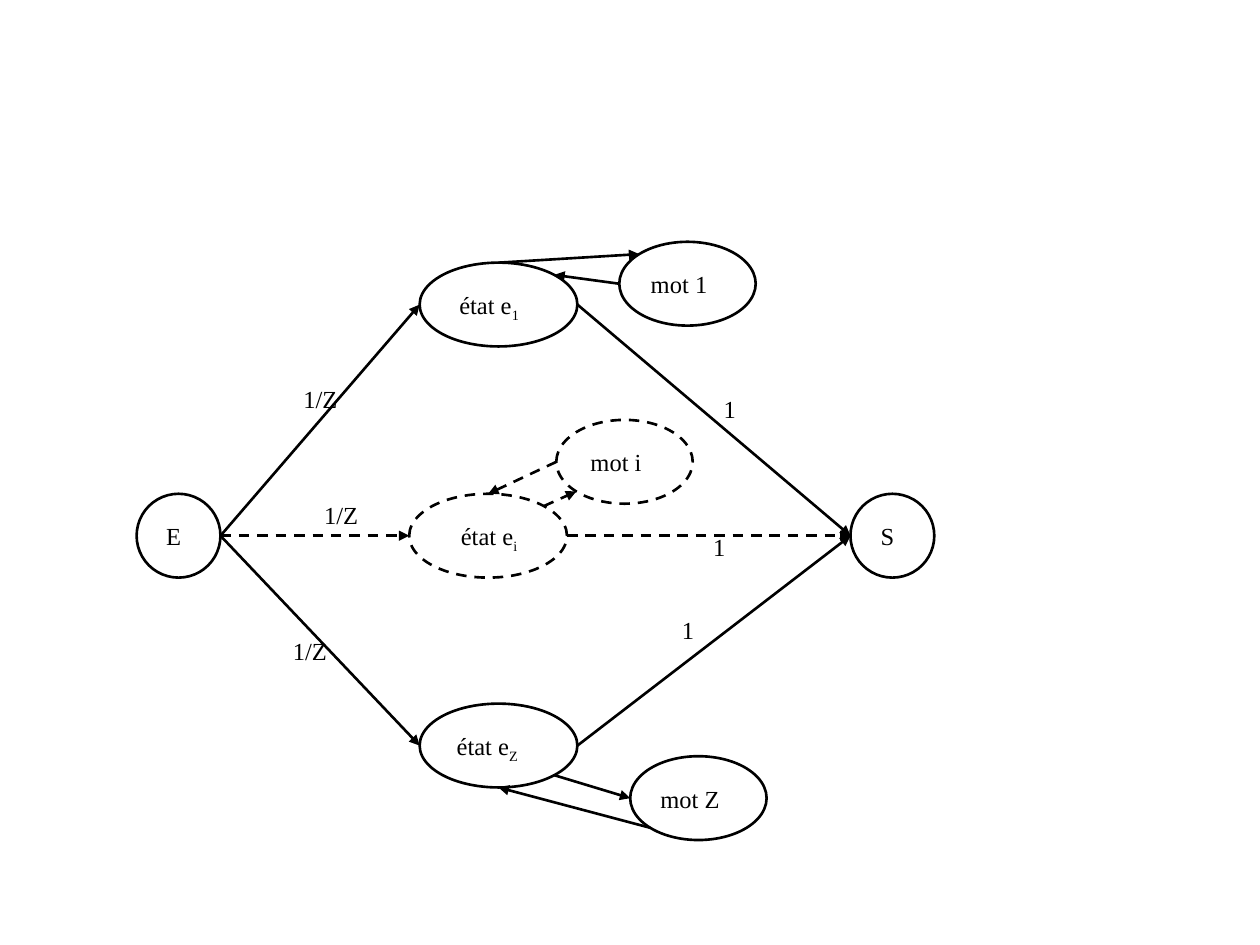
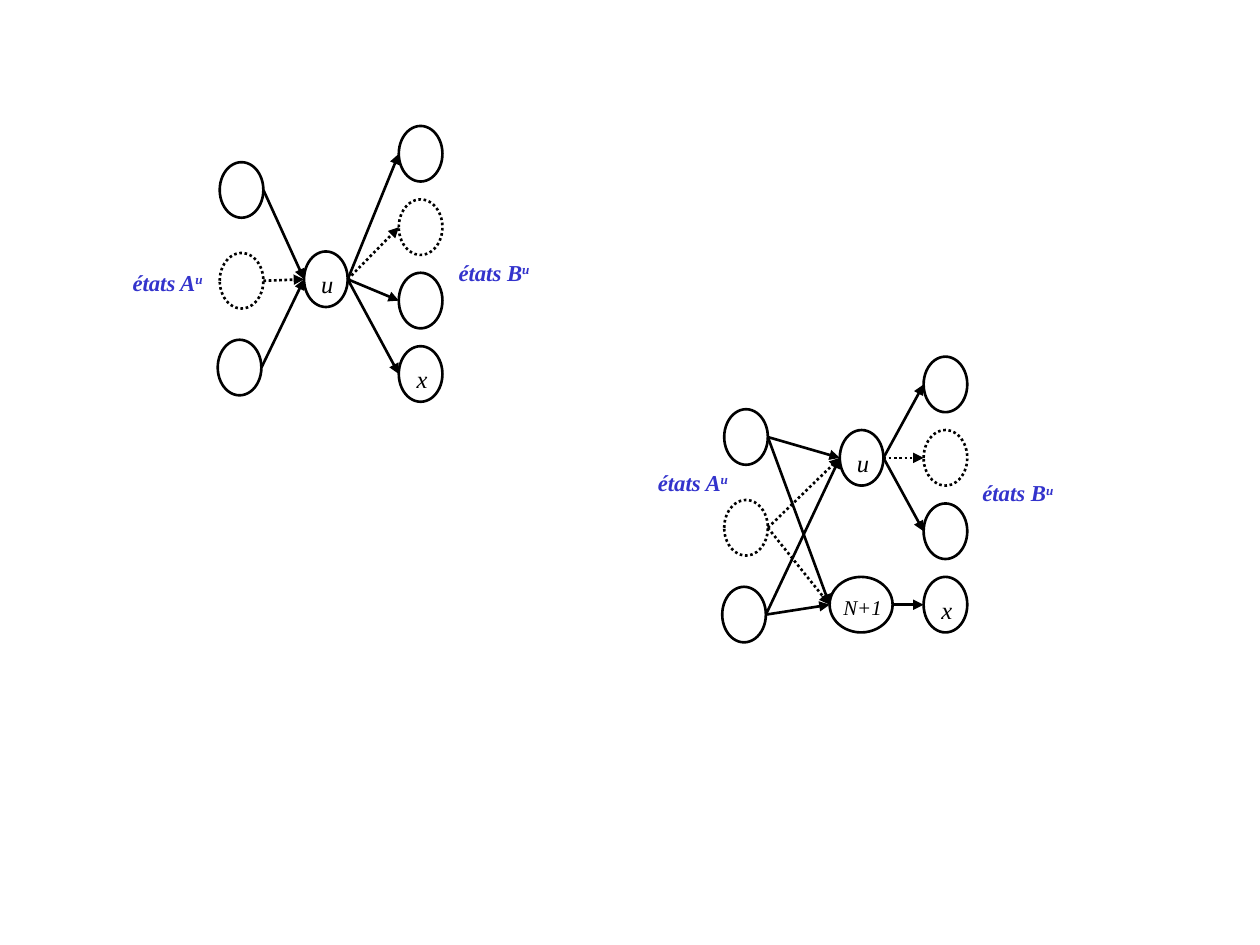
from dataclasses import dataclass, replace
from math import sqrt

from lxml.etree import SubElement
from pptx import Presentation
from pptx.dml.color import RGBColor
from pptx.enum.dml import MSO_LINE as Dash
from pptx.enum.shapes import MSO_CONNECTOR as Connector, MSO_SHAPE as Preset
from pptx.enum.text import MSO_ANCHOR as Anchor, PP_ALIGN as Align
from pptx.oxml.ns import qn
from pptx.slide import Slide
from pptx.util import Cm, Pt

# Shared style
BLACK, BLUE = "000000", "3333CC"
FONT = "Times New Roman"
LINE_WIDTH = Pt(1.5)
BLANK_LAYOUT = 6
SUBSCRIPT, SUPERSCRIPT = -25, 30
LABEL_FORMAT = {"name": FONT, "size": Pt(14)}
NAME_FORMAT = LABEL_FORMAT | {"italic": True}
SMALL_NAME_FORMAT = NAME_FORMAT | {"size": Pt(12)}
GROUP_FORMAT = {"name": FONT, "size": Pt(13), "bold": True, "italic": True}

# Unit offsets from an ellipse's centre to the places where arrows join it
DIAGONAL = 1 / sqrt(2)
SITES = {
    "left": (-1, 0), "right": (1, 0), "top": (0, -1), "bottom": (0, 1),
    "top left": (-DIAGONAL, -DIAGONAL), "top right": (DIAGONAL, -DIAGONAL),
    "bottom left": (-DIAGONAL, DIAGONAL), "bottom right": (DIAGONAL, DIAGONAL),
}


@dataclass(frozen=True)
class Label:
    """Text centred on x, from top downwards (cm)."""
    text: str
    x: float
    top: float
    width: float = 1.48
    script: str = ""
    baseline: int = SUBSCRIPT
    color: str = BLACK
    inset: float = 0.13


@dataclass(frozen=True)
class Node:
    """Ellipse given by its centre and size (cm)."""
    x: float
    y: float
    width: float
    height: float
    dash: Dash | None = None

    def site(self, name: str) -> tuple[Cm, Cm]:
        across, down = SITES[name]
        return (Cm(self.x + across * self.width / 2),
                Cm(self.y + down * self.height / 2))


@dataclass(frozen=True)
class Arrow:
    start: Node
    end: Node
    start_site: str = "right"
    end_site: str = "left"
    dash: Dash | None = None


def rgb(color: str) -> RGBColor:
    return RGBColor.from_string(color)


def style_line(line, dash: Dash | None) -> None:
    line.color.rgb = rgb(BLACK)
    line.width = LINE_WIDTH
    if dash is not None:
        line.dash_style = dash


def draw_node(slide: Slide, node: Node) -> None:
    shape = slide.shapes.add_shape(
        Preset.OVAL, Cm(node.x - node.width / 2), Cm(node.y - node.height / 2),
        Cm(node.width), Cm(node.height))
    shape.shadow.inherit = False
    shape.fill.background()
    style_line(shape.line, node.dash)


def draw_arrow(slide: Slide, arrow: Arrow) -> None:
    connector = slide.shapes.add_connector(
        Connector.STRAIGHT, *arrow.start.site(arrow.start_site),
        *arrow.end.site(arrow.end_site))
    style_line(connector.line, arrow.dash)
    properties = connector._element.spPr
    SubElement(properties.find(qn("a:ln")), qn("a:tailEnd"), type="triangle")
    SubElement(properties, qn("a:effectLst"))


def draw_label(slide: Slide, label: Label, text_format: dict) -> None:
    box = slide.shapes.add_textbox(
        Cm(label.x - label.width / 2), Cm(label.top), Cm(label.width), Cm(0.86))
    frame_format = {
        "word_wrap": True, "vertical_anchor": Anchor.TOP,
        "margin_left": 0, "margin_right": 0,
        "margin_top": Cm(label.inset), "margin_bottom": 0,
    }
    for name, value in frame_format.items():
        setattr(box.text_frame, name, value)
    paragraph = box.text_frame.paragraphs[0]
    paragraph.alignment = Align.CENTER
    for text, baseline in ((label.text, 0), (label.script, label.baseline)):
        if not text:
            continue
        run = paragraph.add_run()
        run.text = text
        for name, value in text_format.items():
            setattr(run.font, name, value)
        run.font.color.rgb = rgb(label.color)
        if baseline:
            run._r.get_or_add_rPr().set("baseline", str(baseline * 1000))


def draw_graph(slide: Slide, nodes: list[Node], arrows: list[Arrow]) -> None:
    for node in nodes:
        draw_node(slide, node)
    for arrow in arrows:
        draw_arrow(slide, arrow)


def draw_word_model(slide: Slide) -> None:
    """Entry, one state per word, and exit."""
    middle, height = 10.8, 1.69
    state_width, word_width = 3.18, 2.75
    entry = Node(3.6, middle, height, height)
    leave = Node(17.99, middle, height, height)
    state_1 = Node(10.05, 6.14, state_width, height)
    state_i = Node(9.84, middle, state_width, height, Dash.DASH)
    state_z = Node(10.05, 15.03, state_width, height)
    word_1 = Node(13.86, 5.72, word_width, height)
    word_i = Node(12.59, 9.31, word_width, height, Dash.DASH)
    word_z = Node(14.08, 16.09, word_width, height)
    states = [state_1, state_i, state_z]

    # Transitions through each state, then exchanges with its word
    arrows = [Arrow(entry, state, dash=state.dash) for state in states]
    arrows += [Arrow(state, leave, dash=state.dash) for state in states]
    arrows += [
        Arrow(state_1, word_1, "top", "top left"),
        Arrow(word_1, state_1, "left", "top right"),
        Arrow(state_i, word_i, "top right", "bottom left", Dash.DASH),
        Arrow(word_i, state_i, "left", "top", Dash.DASH),
        Arrow(state_z, word_z, "bottom right", "left"),
        Arrow(word_z, state_z, "bottom left", "bottom"),
    ]
    draw_graph(slide, [entry, leave, *states, word_1, word_i, word_z], arrows)

    # Node names sit a little left of the ellipse centres
    rise, state_x = 0.42, 9.86
    labels = [Label(text, node.x - 0.1, node.y - rise)
              for text, node in (("E", entry), ("S", leave))]
    labels += [Label("état e", state_x, state.y - rise, 1.98, script)
               for state, script in zip(states, ("1", "i", "Z "))]
    labels += [Label(text, word.x - 0.17, word.y - rise, 1.73)
               for text, word in (("mot 1", word_1), ("mot i", word_i), ("mot Z", word_z))]

    # Transition probabilities
    labels += [Label("1/Z", x, top) for x, top in ((6.46, 7.62), (6.88, 9.96), (6.25, 12.7))]
    labels += [Label("1", x, top) for x, top in ((14.71, 7.82), (14.5, 10.59), (13.87, 12.27))]
    for label in labels:
        draw_label(slide, label, LABEL_FORMAT)


def draw_state_split(slide: Slide) -> None:
    """State u before and after it is split."""
    base = Node(0, 0, 0.88, 1.12)
    step, dotted = 1.48, Dash.ROUND_DOT

    def sources(dx: float, dy: float) -> list[Node]:
        places = ((4.87, 3.83, None), (4.87, 5.66, dotted), (4.83, 7.41, None))
        return [replace(base, x=x + dx, y=y + dy, dash=dash) for x, y, dash in places]

    def targets(x: float, top: float) -> list[Node]:
        return [replace(base, x=x, y=top + row * step, dash=dotted if row == 1 else None)
                for row in range(4)]

    def links(starts: list[Node], ends: list[Node]) -> list[Arrow]:
        return [Arrow(start, end, dash=start.dash or end.dash)
                for start in starts for end in ends]

    # Before: every target follows u
    before, after = sources(0, 0), sources(10.17, 4.98)
    u_before = replace(base, x=6.57, y=5.63)
    next_before = targets(8.48, 3.1)
    draw_graph(slide, [*before, u_before, *next_before],
               links(before, [u_before]) + links([u_before], next_before))

    # After: x follows the new state only
    u_after = replace(base, x=17.37, y=9.23)
    new_state = replace(base, x=17.36, y=12.19, width=1.27)
    next_after = targets(19.06, 7.75)
    draw_graph(slide, [*after, u_after, new_state, *next_after],
               links(after, [u_after, new_state])
               + links([u_after], next_after[:3]) + links([new_state], next_after[3:]))

    # Node names
    names = (("u", u_before, NAME_FORMAT), ("x", next_before[-1], NAME_FORMAT),
             ("u", u_after, NAME_FORMAT), ("x", next_after[-1], NAME_FORMAT),
             ("N+1", new_state, SMALL_NAME_FORMAT))
    for text, node, text_format in names:
        draw_label(slide, Label(text, node.x + 0.03, node.y - 0.4, inset=0.2), text_format)

    # Names of the state groups
    groups = (("A", 3.38, 5.28), ("B", 9.96, 5.08), ("A", 13.97, 9.32), ("B", 20.52, 9.53))
    for letter, x, top in groups:
        draw_label(slide, Label(f"états {letter}", x, top, 2.54, "u", SUPERSCRIPT, BLUE),
                   GROUP_FORMAT)


def main() -> None:
    presentation = Presentation()
    presentation.slide_width, presentation.slide_height = Cm(25.4), Cm(19.05)
    for draw in (draw_word_model, draw_state_split):
        draw(presentation.slides.add_slide(presentation.slide_layouts[BLANK_LAYOUT]))
    presentation.save("out.pptx")


if __name__ == "__main__":
    main()
